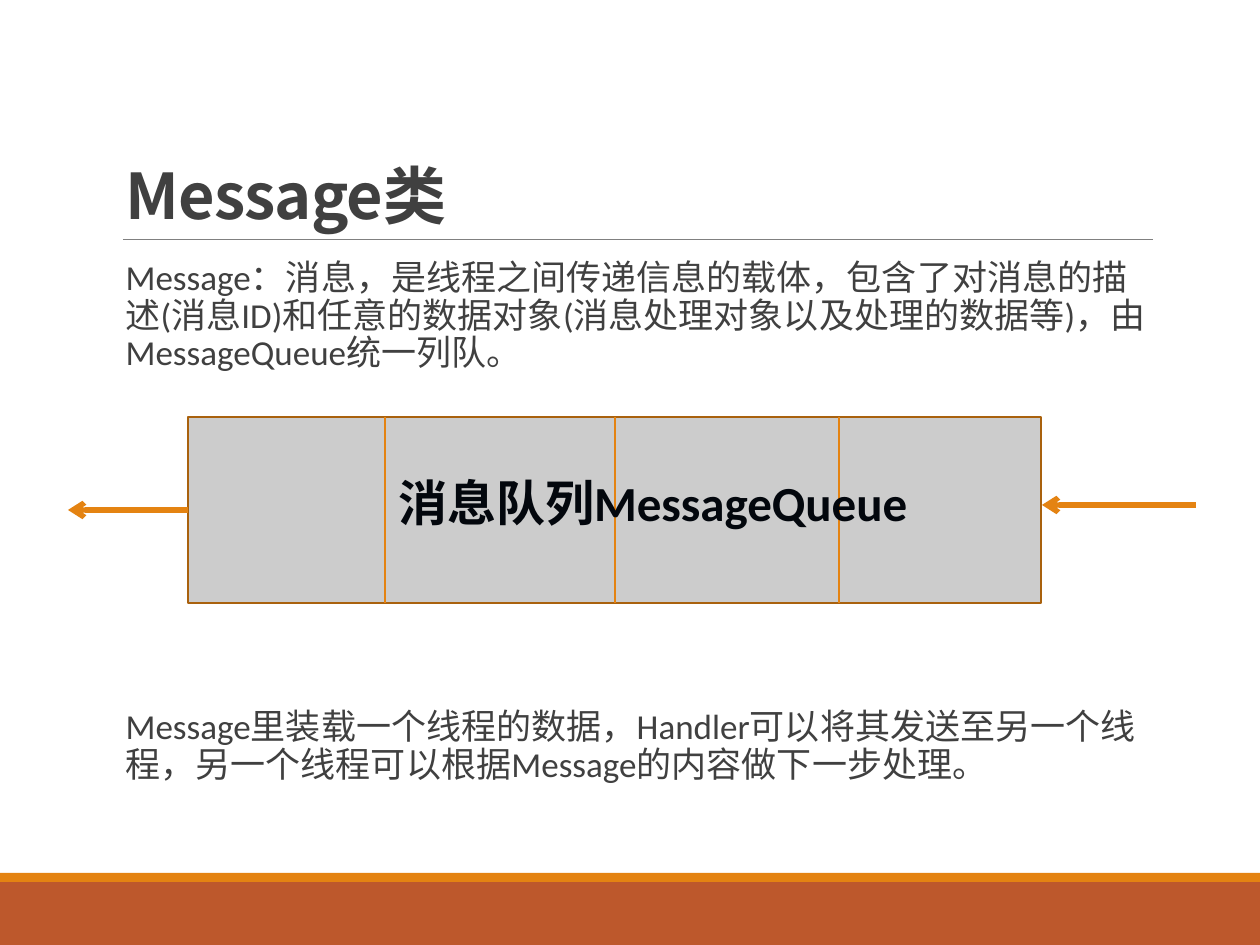
from dataclasses import dataclass
from typing import Any, Optional

import lxml.etree
import pptx
import pptx.dml.color
import pptx.enum.shapes
import pptx.enum.text
import pptx.oxml.ns
import pptx.util

PIXEL = 914400 // 126
SIZE = (1260, 945)
COLOURS = {
    "rust": "BD582C",
    "orange": "E48312",
    "rule": "808080",
    "text": "404040",
    "queue": "CCCCCC",
    "queue_edge": "A9610D",
    "label": "03070D",
}
CJK_FONT = "Noto Sans CJK SC"


@dataclass(frozen=True)
class Box:
    """A filled rectangle, in pixels."""
    left: int
    top: int
    width: int
    height: int
    fill: str
    edge: Optional[str] = None


@dataclass(frozen=True)
class Line:
    """A straight line, in pixels, with a width in points."""
    x1: int
    y1: int
    x2: int
    y2: int
    colour: str
    weight: float
    arrow: bool = False


QUEUE = Box(188, 417, 853, 186, "queue", "queue_edge")
BANDS = [Box(0, 882, 1260, 63, "rust"), Box(0, 873, 1260, 9, "orange")]
TITLE_RULE = Line(123, 239, 1153, 239, "rule", 0.5)
DIVIDERS = [
    Line(x, QUEUE.top, x, QUEUE.top + QUEUE.height, "orange", 1)
    for x in (615, 839, 385)
]
ARROWS = [
    Line(1196, 505, 1042, 505, "orange", 3, True),
    Line(188, 510, 68, 510, "orange", 3, True),
]
BODY = [
    "Message：消息，是线程之间传递信息的载体，包含了对消息的描述(消息ID)和任意的数据对象"
    "(消息处理对象以及处理的数据等)，由MessageQueue统一列队。",
    "Message里装载一个线程的数据，Handler可以将其发送至另一个线程，"
    "另一个线程可以根据Message的内容做下一步处理。",
]
BODY_GAPS = (12, 190)


def px(*lengths: int) -> list[int]:
    """Turn pixels into EMU."""
    return [length * PIXEL for length in lengths]


def rgb(name: str) -> pptx.dml.color.RGBColor:
    """Look up a named colour."""
    return pptx.dml.color.RGBColor.from_string(COLOURS[name])


def apply(target: Any, values: dict[str, Any]) -> None:
    """Set each format value on the target."""
    for name, value in values.items():
        setattr(target, name, value)


def add_box(slide: Any, box: Box) -> None:
    """Draw a rectangle, with an edge if it has one."""
    rectangle = slide.shapes.add_shape(
        pptx.enum.shapes.MSO_SHAPE.RECTANGLE,
        *px(box.left, box.top, box.width, box.height))
    rectangle.shadow.inherit = False
    rectangle.fill.solid()
    rectangle.fill.fore_color.rgb = rgb(box.fill)
    if box.edge:
        rectangle.line.color.rgb = rgb(box.edge)
        rectangle.line.width = pptx.util.Pt(1.25)
    else:
        rectangle.line.fill.background()


def add_line(slide: Any, line: Line) -> None:
    """Draw a line, with an open arrowhead at its end if asked."""
    connector = slide.shapes.add_connector(
        pptx.enum.shapes.MSO_CONNECTOR.STRAIGHT,
        *px(line.x1, line.y1, line.x2, line.y2))
    connector.line.color.rgb = rgb(line.colour)
    connector.line.width = pptx.util.Pt(line.weight)
    qn = pptx.oxml.ns.qn
    properties = connector.element.find(qn("p:spPr"))
    if line.arrow:
        outline = properties.find(qn("a:ln"))
        lxml.etree.SubElement(outline, qn("a:tailEnd"), type="arrow")
    lxml.etree.SubElement(properties, qn("a:effectLst"))


def write(paragraph: Any, text: str, font: str, size: int, colour: str,
          bold: bool = False, spacing: int = 0) -> None:
    """Add a run with its Latin and East Asian fonts."""
    run = paragraph.add_run()
    run.text = text
    apply(run.font, {"name": font, "size": pptx.util.Pt(size), "bold": bold})
    run.font.color.rgb = rgb(colour)
    qn = pptx.oxml.ns.qn
    properties = run.font._element.find(qn("a:rPr")) \
        if run.font._element.tag != qn("a:rPr") else run.font._element
    if spacing:
        properties.set("spc", str(spacing))
    east_asian = lxml.etree.Element(qn("a:ea"), typeface=CJK_FONT)
    properties.find(qn("a:latin")).addnext(east_asian)


def add_title(slide: Any) -> None:
    """Place and fill the title."""
    title = slide.shapes.title
    apply(title, dict(zip(("left", "top", "width", "height"),
                          px(113, 39, 1040, 200))))
    apply(title.text_frame, {
        "auto_size": pptx.enum.text.MSO_AUTO_SIZE.NONE,
        "vertical_anchor": pptx.enum.text.MSO_ANCHOR.BOTTOM,
        "word_wrap": True,
    })
    heading = title.text_frame.paragraphs[0]
    apply(heading, {"alignment": pptx.enum.text.PP_ALIGN.LEFT,
                    "line_spacing": 0.85})
    write(heading, "Message类", CJK_FONT, 36, "text", True, -50)


def add_body(slide: Any) -> None:
    """Write the explanation above and below the queue."""
    frame = slide.shapes.add_textbox(*px(113, 254, 1040, 555)).text_frame
    apply(frame, {"word_wrap": True, "margin_left": 0, "margin_right": 0})
    for index, (text, gap) in enumerate(zip(BODY, BODY_GAPS)):
        paragraph = frame.add_paragraph() if index else frame.paragraphs[0]
        apply(paragraph, {"line_spacing": 0.9,
                          "space_before": pptx.util.Pt(gap),
                          "space_after": pptx.util.Pt(2)})
        properties = paragraph._p.get_or_add_pPr()
        properties.set("marL", str(pptx.util.Inches(0.1)))
        properties.set("indent", "0")
        write(paragraph, text, "Calibri", 20, "text")


def add_queue_label(slide: Any) -> None:
    """Name the queue."""
    frame = slide.shapes.add_textbox(*px(386, 466, 571, 72)).text_frame
    frame.word_wrap = True
    write(frame.paragraphs[0], "消息队列MessageQueue", "Calibri", 28, "label", True)


def main() -> None:
    """Build the slide and save it."""
    deck = pptx.Presentation()
    deck.slide_width, deck.slide_height = px(*SIZE)
    slide = deck.slides.add_slide(deck.slide_layouts[5])
    for band in BANDS:
        add_box(slide, band)
    add_line(slide, TITLE_RULE)
    add_title(slide)
    add_body(slide)
    add_box(slide, QUEUE)
    for line in DIVIDERS + ARROWS:
        add_line(slide, line)
    add_queue_label(slide)
    deck.save("out.pptx")


main()
